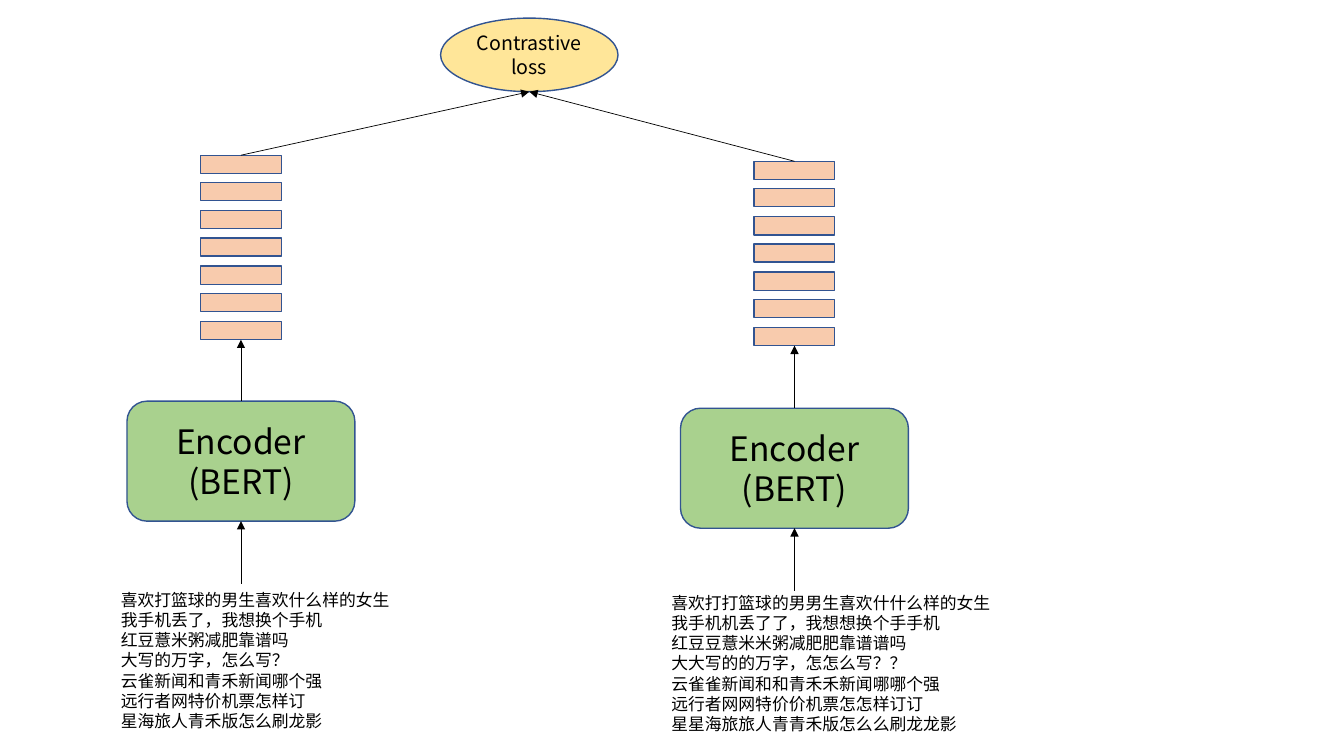
from lxml.etree import SubElement
from pptx import Presentation
from pptx.dml.color import RGBColor
from pptx.enum.shapes import MSO_CONNECTOR, MSO_SHAPE
from pptx.enum.text import MSO_ANCHOR, MSO_AUTO_SIZE, PP_ALIGN
from pptx.oxml.ns import qn
from pptx.util import Emu, Pt

BAR_COUNT = 7
BAR_SPAN = 165
BAR_HEIGHT = 18


def px(length):
    return Emu(length * 9144)


def color(code):
    return RGBColor.from_string(code)


class Diagram:
    """Holds the style and the current slide of the contrastive learning diagram."""

    font_name = "Noto Sans CJK SC"
    ink = "000000"
    outline = "325491"

    def __init__(self, slide):
        self.shapes = slide.shapes

    def set_lines(self, frame, lines, size, align):
        frame.word_wrap = True
        for index, line in enumerate(lines):
            paragraph = frame.paragraphs[0] if index == 0 else frame.add_paragraph()
            paragraph.text = line
            paragraph.alignment = align
            paragraph.font.size = Pt(size)
            paragraph.font.color.rgb = color(self.ink)
            paragraph.font.name = self.font_name
            defaults = paragraph._p.pPr.find(qn("a:defRPr"))
            SubElement(defaults, qn("a:ea")).set("typeface", self.font_name)

    def box(self, kind, left, top, width, height, fill, lines=(), size=12):
        box = self.shapes.add_shape(kind, px(left), px(top), px(width), px(height))
        box.shadow.inherit = False
        box.fill.solid()
        box.fill.fore_color.rgb = color(fill)
        box.line.color.rgb = color(self.outline)
        box.line.width = Pt(1)
        box.text_frame.vertical_anchor = MSO_ANCHOR.MIDDLE
        self.set_lines(box.text_frame, lines, size, PP_ALIGN.CENTER)
        return box

    def sentences(self, left, top, width, height, lines):
        block = self.shapes.add_textbox(px(left), px(top), px(width), px(height))
        self.set_lines(block.text_frame, lines, 12, PP_ALIGN.LEFT)
        block.text_frame.auto_size = MSO_AUTO_SIZE.SHAPE_TO_FIT_TEXT

    def arrow(self, start, end, source=None, target=None):
        arrow = self.shapes.add_connector(
            MSO_CONNECTOR.STRAIGHT, *(px(value) for value in (*start, *end)))
        if source:
            arrow.begin_connect(source, 0)
        if target:
            arrow.end_connect(target, 2)
        arrow.line.color.rgb = color(self.ink)
        arrow.line.width = Pt(0.5)
        SubElement(arrow.line._get_or_add_ln(), qn("a:tailEnd")).set("type", "triangle")
        SubElement(arrow._element.spPr, qn("a:effectLst"))

    def branch(self, center, bars_top, encoder_top, text_box, lines, loss_point):
        bars = [
            self.box(MSO_SHAPE.RECTANGLE, center - 40,
                     bars_top + step * BAR_SPAN // (BAR_COUNT - 1),
                     80, BAR_HEIGHT, "F8CBAD")
            for step in range(BAR_COUNT)
        ]
        encoder = self.box(MSO_SHAPE.ROUNDED_RECTANGLE, center - 113, encoder_top,
                           226, 119, "A9D18E", ["Encoder", "(BERT)"], 24)
        self.sentences(*text_box, lines)
        encoder_bottom = encoder_top + 119
        self.arrow((center, encoder_bottom + 62), (center, encoder_bottom),
                   target=encoder)
        self.arrow((center, encoder_top), (center, bars_top + BAR_SPAN + BAR_HEIGHT),
                   encoder, bars[-1])
        self.arrow((center, bars_top), loss_point, bars[0])


def main():
    deck = Presentation()
    deck.slide_width, deck.slide_height = px(1333), px(750)
    diagram = Diagram(deck.slides.add_slide(deck.slide_layouts[6]))

    loss_point = (525, 91)
    diagram.box(MSO_SHAPE.OVAL, 437, 18, 176, 73, "FFE699", ["Contrastive loss"], 14)

    queries = [
        "喜欢打篮球的男生喜欢什么样的女生",
        "我手机丢了，我想换个手机",
        "红豆薏米粥减肥靠谱吗",
        "大写的万字，怎么写？",
        "云雀新闻和青禾新闻哪个强",
        "远行者网特价机票怎样订",
        "星海旅人青禾版怎么刷龙影",
    ]
    repeated_queries = [
        "喜欢打打篮球的男男生喜欢什什么样的女生",
        "我手机机丢了了，我想想换个手手机",
        "红豆豆薏米米粥减肥肥靠谱谱吗",
        "大大写的的万字，怎怎么写？？",
        "云雀雀新闻和和青禾禾新闻哪哪个强",
        "远行者网网特价价机票怎怎样订订",
        "星星海旅旅人青青禾版怎么么刷龙龙影",
    ]
    diagram.branch(239, 154, 398, (110, 580, 359, 151), queries, loss_point)
    diagram.branch(788, 160, 405, (656, 583, 515, 151), repeated_queries, loss_point)
    deck.save("out.pptx")


if __name__ == "__main__":
    main()
